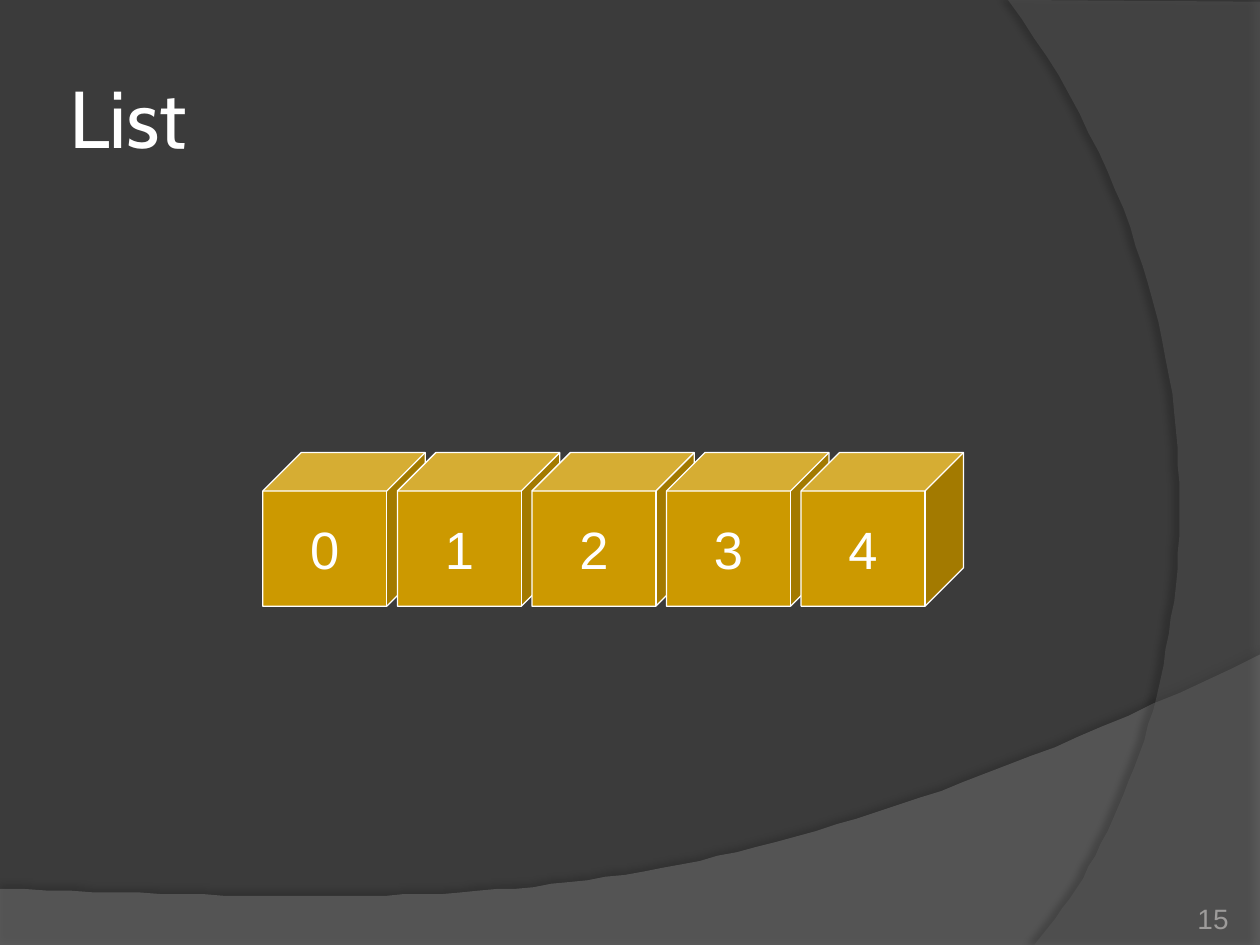
from lxml import etree
from pptx import Presentation
from pptx.dml.color import RGBColor
from pptx.enum.shapes import MSO_SHAPE as Shape
from pptx.enum.text import MSO_ANCHOR as Anchor, PP_ALIGN as Align
from pptx.oxml import parse_xml
from pptx.oxml.ns import nsdecls, qn
from pptx.util import Pt

WHITE = "FFFFFF"
GOLD = "CC9900"


def color(hex_string):
    return RGBColor.from_string(hex_string)


def curve(start, control1, control2, end, steps=60):
    """Points along a cubic curve, without its start."""
    points = []
    for step in range(1, steps + 1):
        t = step / steps
        weights = ((1 - t) ** 3, 3 * t * (1 - t) ** 2, 3 * t ** 2 * (1 - t), t ** 3)
        points.append(tuple(
            sum(weight * value for weight, value in zip(weights, values))
            for values in zip(start, control1, control2, end)))
    return points


def add_wave(slide, points, fill, opacity, shadow_opacity, distance, direction):
    """Translucent background shape with a soft shadow."""
    builder = slide.shapes.build_freeform(*points[0], scale=Pt(1))
    builder.add_line_segments(points[1:], close=True)
    shape = builder.convert_to_shape()
    shape.fill.solid()
    shape.fill.fore_color.rgb = color(fill)
    shape.line.fill.background()
    fill_color = shape.fill._xPr.find(qn("a:solidFill"))[0]
    etree.SubElement(fill_color, qn("a:alpha"), val=str(opacity * 1000))
    shape._element.spPr.append(parse_xml(
        f'<a:effectLst {nsdecls("a")}><a:outerShdw blurRad="{Pt(4)}" '
        f'dist="{Pt(distance)}" dir="{direction * 60000}" rotWithShape="0">'
        f'<a:srgbClr val="000000"><a:alpha val="{shadow_opacity * 1000}"/></a:srgbClr>'
        '</a:outerShdw></a:effectLst>'))


def set_text(shape, text, font, size, hex_string, align, anchor, margins):
    frame = shape.text_frame
    frame.text = text
    frame.vertical_anchor = anchor
    frame.margin_left = frame.margin_right = Pt(margins[0])
    frame.margin_top = frame.margin_bottom = Pt(margins[1])
    paragraph = frame.paragraphs[0]
    paragraph.alignment = align
    run_font = paragraph.runs[0].font
    run_font.name = font
    run_font.size = Pt(size)
    run_font.color.rgb = color(hex_string)


def add_label(slide, box, *style):
    text_box = slide.shapes.add_textbox(*map(Pt, box))
    text_box.text_frame.word_wrap = True
    set_text(text_box, *style)


def add_cube(shapes, left, text):
    cube = shapes.add_shape(Shape.CUBE, Pt(left), Pt(258.6), Pt(92.8), Pt(87.8))
    cube.adjustments[0] = 0.25
    cube.shadow.inherit = False
    cube.fill.solid()
    cube.fill.fore_color.rgb = color(GOLD)
    cube.line.color.rgb = color(WHITE)
    cube.line.width = Pt(0.75)
    cube.text_frame.word_wrap = False
    set_text(cube, text, "Arial", 30, WHITE, Align.CENTER, Anchor.MIDDLE, (7.2, 3.6))


def main():
    presentation = Presentation()
    presentation.slide_width = Pt(720)
    presentation.slide_height = Pt(540)
    slide = presentation.slides.add_slide(presentation.slide_layouts[6])

    # Background with a lower wave and a right-hand arc
    slide.background.fill.solid()
    slide.background.fill.fore_color.rgb = color("3B3B3B")
    lower_wave = [(0, 507.6), (0, 540.7), (720, 540.7), (720, 374.4)]
    lower_wave += curve((720, 374.4), (402.5, 524.9), (281.5, 517.7), (0, 507.6))
    add_wave(slide, lower_wave, "7F7F7F", 45, 35, 3.5, 270)
    right_arc = [(720, 1.4), (720, 540), (591.1, 540)]
    right_arc += curve((591.1, 540), (673.2, 445.7), (733, 216), (576, 0))
    add_wave(slide, right_arc, "5E5E5E", 40, 45, 4, 180)

    # Title and slide number
    add_label(slide, (36, 21.6, 636, 90), "List", "Cabin", 46, WHITE,
              Align.LEFT, Anchor.MIDDLE, (3.6, 3.6))
    add_label(slide, (642, 505.4, 60, 28.8), "15", "Arial", 16, "9D9B9A",
              Align.RIGHT, Anchor.BOTTOM, (0, 0))

    # Row of list cells, each overlapping the one before
    cells = slide.shapes.add_group_shape()
    for index in range(5):
        add_cube(cells.shapes, 150.2 + 76.9 * index, str(index))

    presentation.save("out.pptx")


if __name__ == "__main__":
    main()
